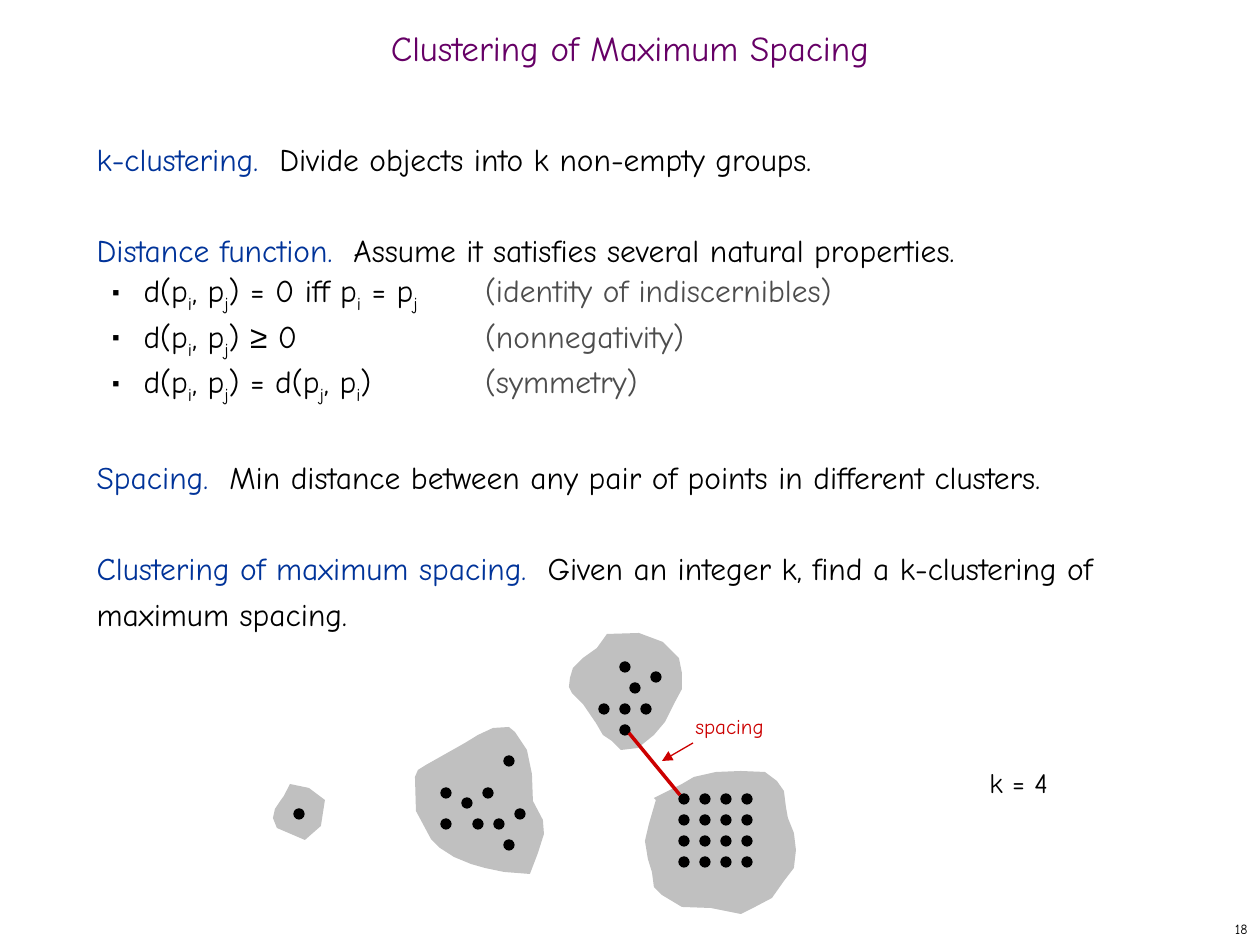
from lxml import etree
from pptx import Presentation, util as u
from pptx.dml.color import RGBColor
from pptx.enum import shapes, text
from pptx.oxml.ns import qn

SCALE = 914400 / 126  # EMU per px
FONT = "Comic Neue"
COLOR = {"title": "660066", "term": "003399", "text": "000000", "note": "4D4D4D",
         "red": "CC0000", "blob": "C0C0C0", "dot": "010000"}
LINE = 26  # line height of the body, in points

TERMS = [
    ("k-clustering.", "Divide objects into k non-empty groups."),
    ("Distance function.", "Assume it satisfies several natural properties."),
    ("Spacing.", "Min distance between any pair of points in different clusters."),
    ("Clustering of maximum spacing.",
     "Given an integer k, find a k-clustering of maximum spacing."),
]
RULES = [
    ("d(p_i, p_j) = 0 iff p_i = p_j", "(identity of indiscernibles)"),
    ("d(p_i, p_j) ≥ 0", "(nonnegativity)"),
    ("d(p_i, p_j) = d(p_j, p_i)", "(symmetry)"),
]
BLOBS = [
    [(654, 798), (682, 784), (694, 777), (716, 772), (741, 771), (765, 772), (777, 781),
     (784, 791), (786, 807), (788, 818), (794, 833), (796, 850), (794, 868), (784, 881),
     (772, 898), (753, 908), (741, 914), (711, 908), (682, 907), (662, 895), (654, 887),
     (652, 872), (648, 859), (645, 841), (649, 824), (656, 800)],
    [(572, 693), (583, 704), (596, 723), (603, 735), (612, 741), (621, 750), (638, 748),
     (654, 735), (665, 722), (674, 704), (682, 689), (682, 673), (679, 658), (663, 642),
     (639, 633), (607, 634), (597, 648), (583, 658), (573, 668), (570, 678), (569, 687)],
    [(530, 874), (538, 853), (544, 834), (543, 820), (533, 801), (532, 774), (527, 750),
     (515, 732), (509, 727), (493, 728), (478, 735), (465, 743), (426, 765), (418, 770),
     (415, 777), (416, 811), (431, 839), (435, 843), (440, 848), (454, 857), (471, 864),
     (485, 868), (504, 872)],
    [(290, 784), (309, 788), (325, 800), (321, 826), (305, 840), (291, 834), (277, 828),
     (273, 818), (275, 809), (281, 800), (284, 796)],
]
DOTS = [
    (446, 793), (509, 761), (478, 824), (467, 803), (488, 793), (446, 824),
    (509, 845), (499, 824), (520, 814),
    (646, 709), (635, 688), (604, 709), (625, 730), (625, 709), (625, 667), (656, 677),
    (299, 814),
] + [(684 + 21 * col, 799 + 21 * row) for col in range(4) for row in range(4)]


def px(*vals):
    return [u.Emu(round(v * SCALE)) for v in vals]


def rgb(name):
    return RGBColor.from_string(COLOR[name])


def style(font, size, color=None):
    font.name, font.size = FONT, u.Pt(size)
    if color:
        font.color.rgb = rgb(color)


def place(shape, *box):
    shape.left, shape.top, shape.width, shape.height = px(*box)


def add_run(par, words, color, sub=False):
    run = par.add_run()
    run.text = words
    run.font.color.rgb = rgb(color)
    if sub:
        run._r.get_or_add_rPr().set("baseline", "-25000")
    return run


def add_math(par, words):
    """Add runs in which the letter after each _ is a subscript."""
    first, *rest = words.split("_")
    parts = [(first, False)]
    for part in rest:
        parts += [(part[0], True), (part[1:], False)]
    for part, sub in parts:
        head, sign, tail = part.partition("≥")
        for bit in filter(None, (head, sign, tail)):
            run = add_run(par, bit, "text", sub)
            if bit == "≥":
                run.font.name = "Arial"


def add_prop(par, tag, **attrs):
    return etree.SubElement(par._p.get_or_add_pPr(), qn(tag), attrs)


def set_list(par, bullet):
    """Set the line height and indent, with or without a bullet and tab stop."""
    par.line_spacing, par.space_before = u.Pt(LINE), u.Pt(0)
    left, dent = px(47, -31) if bullet else (0, 0)
    props = par._p.get_or_add_pPr()
    props.set("marL", str(left))
    props.set("indent", str(dent))
    if bullet:
        par.level = 1
        ink = add_prop(par, "a:buClr")
        etree.SubElement(ink, qn("a:srgbClr"), val=COLOR["text"])
        add_prop(par, "a:buSzPct", val="35000")
        add_prop(par, "a:buFont", typeface="Arial")
        add_prop(par, "a:buChar", char="■")
        tabs = add_prop(par, "a:tabLst")
        etree.SubElement(tabs, qn("a:tab"), pos=str(px(378)[0]), algn="l")
    else:
        add_prop(par, "a:buNone")
    style(par.font, 18)


def fill_title(shape):
    place(shape, 0, 21, 1260, 63)
    frame = shape.text_frame
    frame.text = "Clustering of Maximum Spacing"
    frame.vertical_anchor = text.MSO_ANCHOR.MIDDLE
    par = frame.paragraphs[0]
    par.alignment, par.line_spacing = text.PP_ALIGN.CENTER, 0.7
    style(par.font, 20, "title")


def fill_body(shape):
    place(shape, 84, 126, 1081, 746)
    frame = shape.text_frame
    frame.auto_size = text.MSO_AUTO_SIZE.NONE
    for i, (term, words) in enumerate(TERMS):
        par = frame.add_paragraph() if i else frame.paragraphs[0]
        set_list(par, False)
        if i:
            par.space_before = u.Pt(LINE)
        add_run(par, term + "  ", "term")
        add_run(par, words, "text")
        if term == "Distance function.":
            for rule, note in RULES:
                par = frame.add_paragraph()
                set_list(par, True)
                add_math(par, rule)
                add_run(par, "\t " + note, "note")


def add_label(slide, words, box, size, color):
    frame = slide.shapes.add_textbox(*px(*box)).text_frame
    frame.text = words
    frame.word_wrap = False
    style(frame.paragraphs[0].font, size, color)
    return frame


def add_blob(slide, points):
    pen = slide.shapes.build_freeform(*points[0], scale=SCALE)
    pen.add_line_segments(points[1:], close=True)
    blob = pen.convert_to_shape()
    blob.shadow.inherit = False
    blob.fill.solid()
    blob.fill.fore_color.rgb = rgb("blob")
    blob.line.fill.background()


def add_dot(slide, x, y):
    dot = slide.shapes.add_shape(shapes.MSO_SHAPE.OVAL, *px(x - 5, y - 5, 10, 10))
    dot.shadow.inherit = False
    dot.fill.solid()
    dot.fill.fore_color.rgb = rgb("dot")
    dot.line.color.rgb, dot.line.width = rgb("text"), u.Pt(0.75)


def add_line(slide, ends, width, arrow=False):
    line = slide.shapes.add_connector(shapes.MSO_CONNECTOR.STRAIGHT, *px(*ends))
    line.line.color.rgb, line.line.width = rgb("red"), u.Pt(width)
    if arrow:
        etree.SubElement(line.line._get_or_add_ln(), qn("a:tailEnd"), type="triangle")
    etree.SubElement(line._element.spPr, qn("a:effectLst"))


def main():
    deck = Presentation()
    deck.slide_width, deck.slide_height = px(1260, 945)
    slide = deck.slides.add_slide(deck.slide_layouts[1])
    fill_title(slide.shapes.title)
    fill_body(slide.placeholders[1])
    for points in BLOBS:
        add_blob(slide, points)
    for x, y in DOTS:
        add_dot(slide, x, y)
    add_line(slide, (680, 795, 629, 733), 2)
    add_line(slide, (693, 743, 662, 761), 0.75, arrow=True)
    for words, box, size, color in [("spacing", (683, 707, 96, 38), 12, "red"),
                                    ("k = 4", (977, 759, 86, 47), 16, "text")]:
        frame = add_label(slide, words, box, size, color)
        frame.auto_size = text.MSO_AUTO_SIZE.SHAPE_TO_FIT_TEXT
    number = add_label(slide, "18", (998, 913, 262, 32), 8, "text")
    number.vertical_anchor = text.MSO_ANCHOR.MIDDLE
    number.paragraphs[0].alignment = text.PP_ALIGN.RIGHT
    deck.save("out.pptx")


if __name__ == "__main__":
    main()
